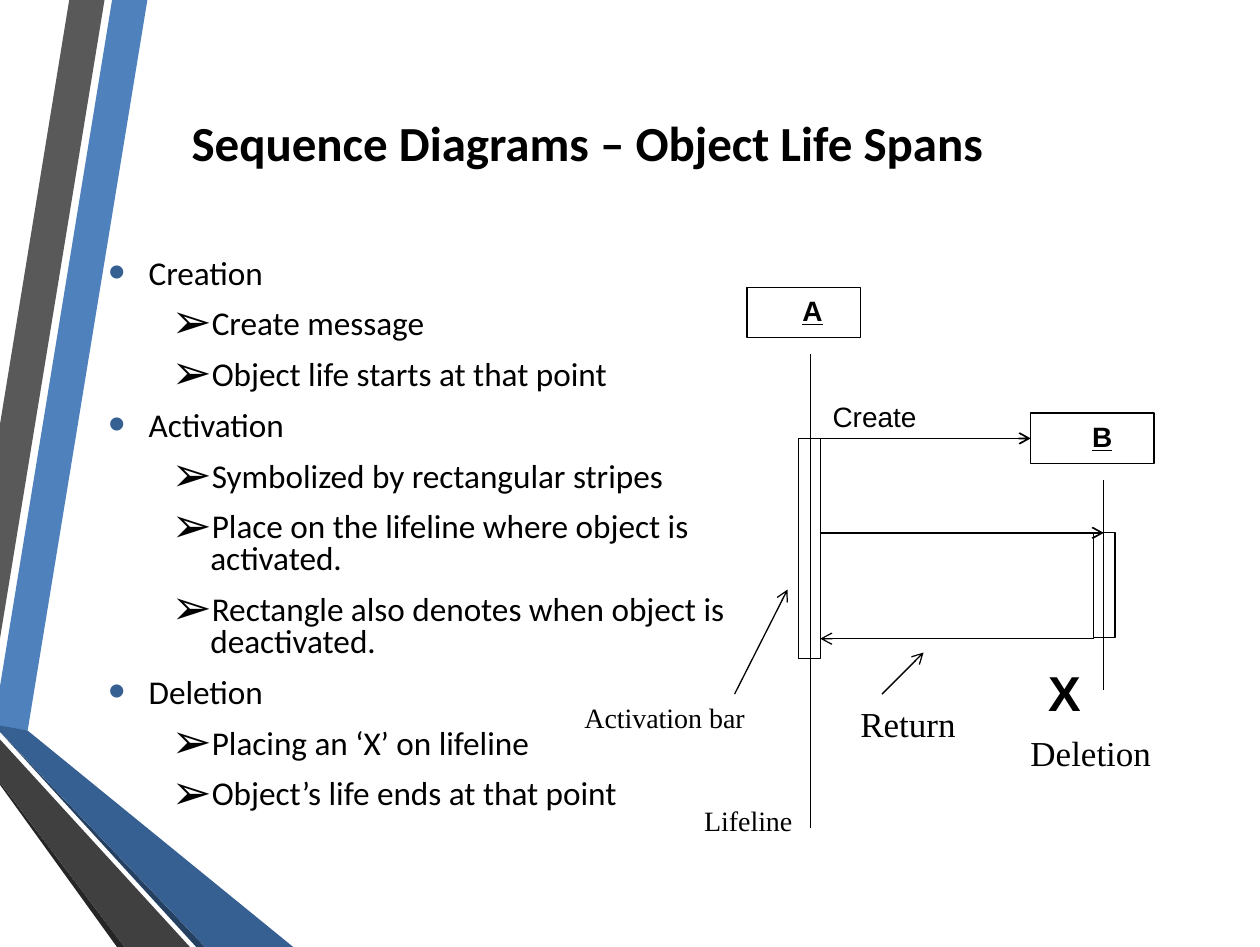
import pptx
import pptx.util
import pptx.dml.color
import pptx.enum.shapes
import pptx.enum.text
import pptx.oxml.ns
import lxml.etree

PX = 9144  # EMU per px, 100 px to the inch
BLACK = "000000"
qn = pptx.oxml.ns.qn


def rgb(value):
    return pptx.dml.color.RGBColor.from_string(value)


def write(p, text, size=16, font="Times New Roman", bold=False, underline=False, spacing=1.0):
    p.line_spacing = spacing
    r = p.add_run()
    r.text = text
    r.font.size = pptx.util.Pt(size)
    r.font.name = font
    r.font.bold = bold
    r.font.underline = underline
    r.font.color.rgb = rgb(BLACK)


prs = pptx.Presentation()
prs.slide_width = 1000 * PX
prs.slide_height = pptx.util.Emu(6873875)
s = prs.slides.add_slide(prs.slide_layouts[1])

# Ribbons along the left edge, behind the text
ribbons = [
    ("4F81BD", [(0, 545), (0, 577), (22, 580), (117, 0), (89, 0)]),
    ("595959", [(83, 0), (55, 0), (0, 337), (0, 507)]),
    ("262626", [(0, 621), (0, 623), (93, 752), (99, 752)]),
    ("254061", [(0, 581), (156, 752), (163, 752)]),
    ("376092", [(0, 581), (163, 752), (233, 752), (22, 580), (0, 576)]),
    ("404040", [(0, 621), (99, 752), (151, 752), (0, 587)]),
]
for i, (color, points) in enumerate(ribbons):
    fb = s.shapes.build_freeform(*points[0], scale=PX)
    fb.add_line_segments(points[1:], close=True)
    sp = fb.convert_to_shape()
    sp.shadow.inherit = False
    sp.fill.solid()
    sp.fill.fore_color.rgb = rgb(color)
    sp.line.fill.background()
    s.shapes._spTree.insert(2 + i, sp._element)

# Title
sp = s.shapes.title
sp.left, sp.top, sp.width, sp.height = (v * PX for v in (107, 50, 718, 125))
tf = sp.text_frame
tf.auto_size = pptx.enum.text.MSO_AUTO_SIZE.NONE
tf.vertical_anchor = pptx.enum.text.MSO_ANCHOR.MIDDLE
tf.paragraphs[0].alignment = pptx.enum.text.PP_ALIGN.CENTER
write(tf.paragraphs[0], "Sequence Diagrams – Object Life Spans", size=28, font="Calibri", bold=True)

# Bulleted list
items = [
    (0, "Creation"),
    (1, "Create message"),
    (1, "Object life starts at that point"),
    (0, "Activation"),
    (1, "Symbolized by rectangular stripes"),
    (1, "Place on the lifeline where object is activated."),
    (1, "Rectangle also denotes when object is deactivated."),
    (0, "Deletion"),
    (1, "Placing an ‘X’ on lifeline"),
    (1, "Object’s life ends at that point"),
]
levels = [(32, -32, "376092", "•"), (81, -31, BLACK, "➢")]
sp = s.placeholders[1]
sp.left, sp.top, sp.width, sp.height = (v * PX for v in (76, 201, 515, 475))
tf = sp.text_frame
tf.auto_size = pptx.enum.text.MSO_AUTO_SIZE.NONE
for i, (level, text) in enumerate(items):
    p = tf.add_paragraph() if i else tf.paragraphs[0]
    margin, indent, color, bullet = levels[level]
    p.level = level
    pPr = p._p.get_or_add_pPr()
    pPr.set("marL", str(margin * PX))
    pPr.set("indent", str(indent * PX))
    clr = lxml.etree.SubElement(pPr, qn("a:buClr"))
    lxml.etree.SubElement(clr, qn("a:srgbClr"), val=color)
    lxml.etree.SubElement(pPr, qn("a:buSzPct"), val="145000")
    lxml.etree.SubElement(pPr, qn("a:buFont"), typeface="Arial")
    lxml.etree.SubElement(pPr, qn("a:buChar"), char=bullet)
    p.space_before = pptx.util.Pt(4.8 if i else 0)
    p.space_after = pptx.util.Pt(6)
    write(p, text, size=19, font="Calibri", spacing=0.8)

# Object boxes and activation bars
for box in [(593, 228, 90, 40), (818, 328, 98, 40), (634, 348, 17, 175), (868, 423, 17, 83)]:
    sp = s.shapes.add_shape(pptx.enum.shapes.MSO_SHAPE.RECTANGLE, *(v * PX for v in box))
    sp.shadow.inherit = False
    sp.fill.background()
    sp.line.color.rgb = rgb(BLACK)
    sp.line.width = pptx.util.Pt(0.75)

# Lifelines, messages and pointers: start, end, width, arrowhead
lines = [
    (643, 281, 643, 657, 0.75, False),
    (876, 381, 876, 548, 0.75, False),
    (643, 348, 818, 348, 1, True),
    (651, 423, 876, 423, 1, True),
    (868, 507, 651, 507, 0.75, True),
    (700, 551, 733, 518, 0.75, True),
    (583, 551, 625, 468, 0.75, True),
]
for *ends, width, arrow in lines:
    sp = s.shapes.add_connector(pptx.enum.shapes.MSO_CONNECTOR.STRAIGHT, *(v * PX for v in ends))
    sp.line.color.rgb = rgb(BLACK)
    sp.line.width = pptx.util.Pt(width)
    if arrow:
        lxml.etree.SubElement(sp.line._get_or_add_ln(), qn("a:tailEnd"), type="arrow")
    lxml.etree.SubElement(sp._element.spPr, qn("a:effectLst"))

# Diagram labels
labels = [
    ("A", (627, 228, 36, 37), dict(font="Arial", bold=True, underline=True)),
    ("B", (857, 328, 36, 37), dict(font="Arial", bold=True, underline=True)),
    ("Create", (651, 315, 150, 34), dict(font="Arial", spacing=0.9)),
    ("X", (822, 526, 109, 52), dict(size=28, font="Arial", bold=True, spacing=0.9)),
    ("Activation bar", (454, 551, 150, 37), {}),
    ("Lifeline", (549, 633, 90, 37), {}),
    ("Return", (673, 553, 96, 44), dict(size=20)),
    ("Deletion", (808, 576, 116, 44), dict(size=20)),
]
for text, box, style in labels:
    tf = s.shapes.add_textbox(*(v * PX for v in box)).text_frame
    tf.word_wrap = False
    write(tf.paragraphs[0], text, **style)

prs.save("out.pptx")
